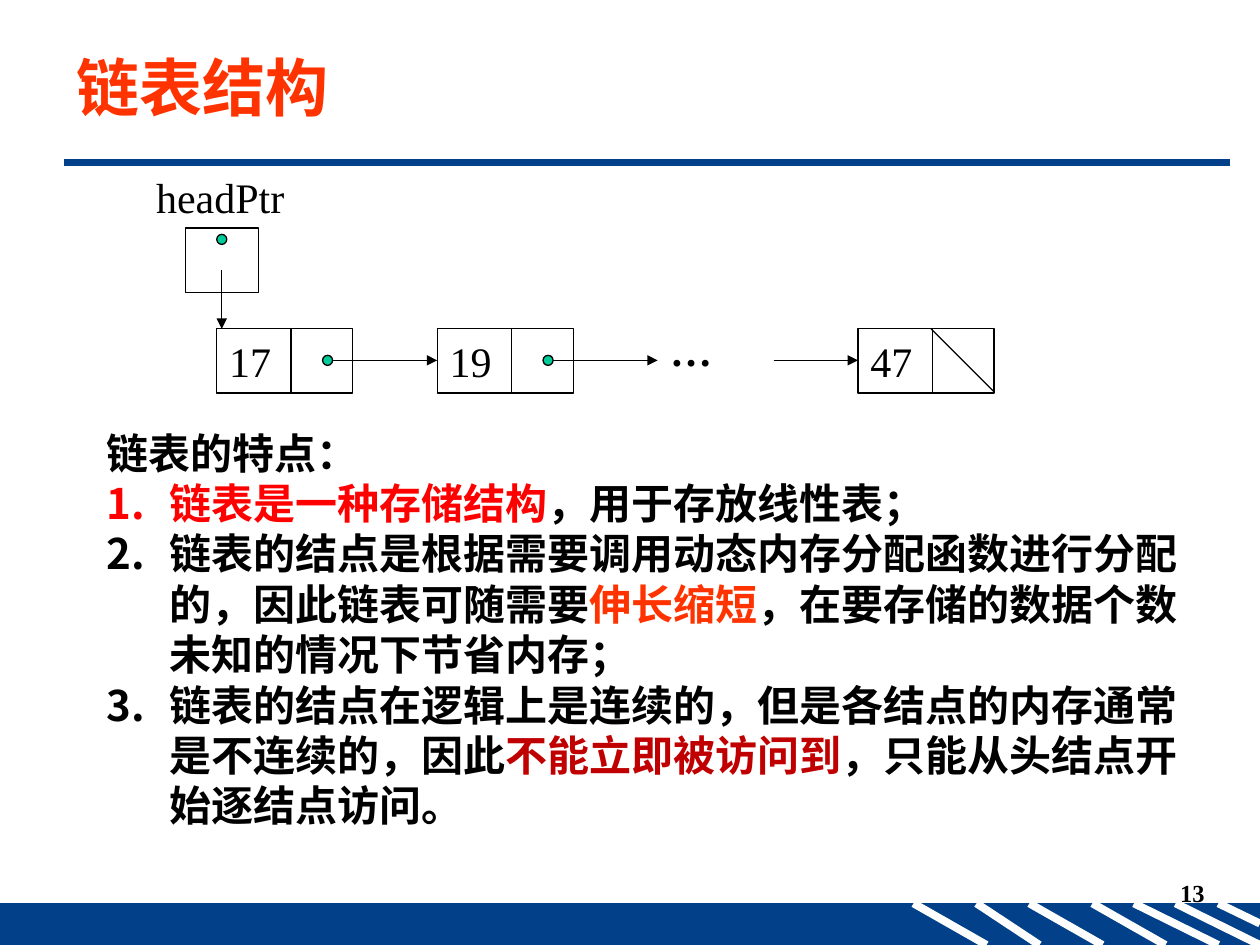
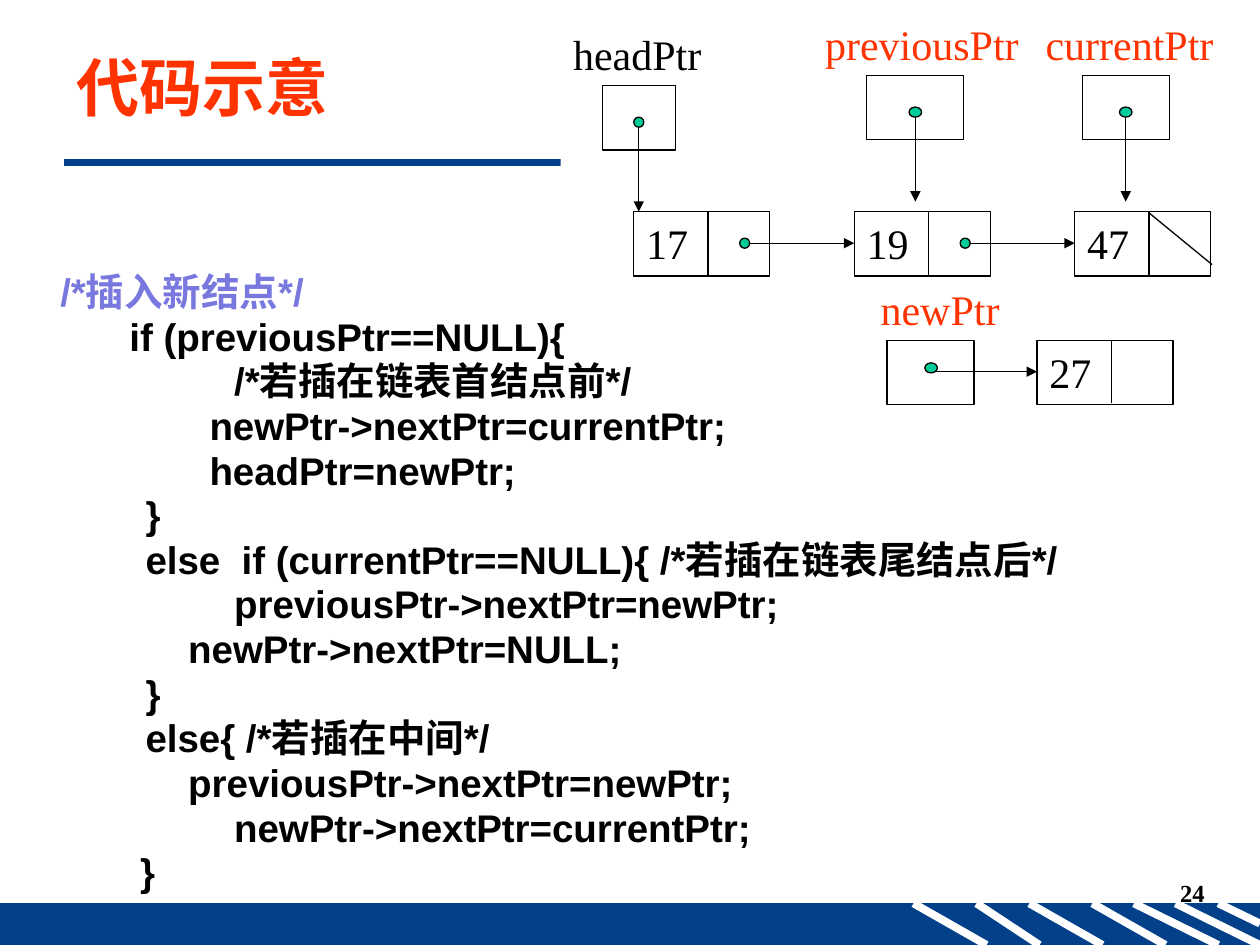
from lxml import etree
from pptx import Presentation
from pptx.dml.color import RGBColor
from pptx.enum.shapes import MSO_CONNECTOR, MSO_SHAPE
from pptx.enum.text import MSO_ANCHOR, PP_ALIGN
from pptx.oxml.ns import qn
from pptx.util import Inches, Pt

LINE = MSO_CONNECTOR.STRAIGHT
RECT, OVAL = MSO_SHAPE.RECTANGLE, MSO_SHAPE.OVAL
TOP, MIDDLE = MSO_ANCHOR.TOP, MSO_ANCHOR.MIDDLE
LEFT, RIGHT = PP_ALIGN.LEFT, PP_ALIGN.RIGHT

COLORS = {
    "blue": "024089", "white": "FFFFFF", "black": "000000", "title": "FF3300",
    "red": "FF0000", "dark": "C00000", "green": "00CC99", "violet": "7878DE",
}
SERIF, SANS, HAN = "Times New Roman", "Arial", "Noto Sans CJK SC"

STRIPES = [
    (7.25, 7.83, 7.5), (7.75, 8.25, 7.5), (8.17, 8.75, 7.5), (8.67, 9.25, 7.5),
    (9, 9.67, 7.5), (9.33, 10, 7.5), (9.67, 10, 7.33),
]
PANEL = [(0, 0), (5.43, 0), (5.43, 3.67), (2.19, 3.67), (2.19, 2.41), (0, 2.41)]
TRAITS = [
    [("链表的特点：", "black")],
    [("链表是一种存储结构", "red"), ("，用于存放线性表；", "black")],
    [("链表的结点是根据需要调用动态内存分配函数进行分配的，因此链表可随需要", "black"),
     ("伸长缩短", "title"), ("，在要存储的数据个数未知的情况下节省内存；", "black")],
    [("链表的结点在逻辑上是连续的，但是各结点的内存通常是不连续的，因此", "black"),
     ("不能立即被访问到", "dark"), ("，只能从头结点开始逐结点访问。", "black")],
]
CODE = [
    "/*插入新结点*/",
    "\t  if (previousPtr==NULL){",
    "\t\t/*若插在链表首结点前*/",
    "              newPtr->nextPtr=currentPtr;",
    "              headPtr=newPtr;",
    "        }",
    "        else  if (currentPtr==NULL){ /*若插在链表尾结点后*/",
    "      \tpreviousPtr->nextPtr=newPtr;",
    "            newPtr->nextPtr=NULL;",
    "        }",
    "        else{ /*若插在中间*/",
    "            previousPtr->nextPtr=newPtr;",
    "      \tnewPtr->nextPtr=currentPtr;",
    "   \t   }",
]


def rgb(name):
    return RGBColor.from_string(COLORS[name])


def line(slide, x1, y1, x2, y2, color="black", width=0.75, arrow=False):
    link = slide.shapes.add_connector(
        LINE, Inches(x1), Inches(y1), Inches(x2), Inches(y2))
    link.line.color.rgb = rgb(color)
    link.line.width = Pt(width)
    if arrow:
        etree.SubElement(link.line._get_or_add_ln(), qn("a:tailEnd"), type="triangle")
    etree.SubElement(link._element.spPr, qn("a:effectLst"))


def shape(slide, kind, x, y, w, h, fill=None, edge="black"):
    item = slide.shapes.add_shape(kind, Inches(x), Inches(y), Inches(w), Inches(h))
    item.shadow.inherit = False
    if fill:
        item.fill.solid()
        item.fill.fore_color.rgb = rgb(fill)
    else:
        item.fill.background()
    item.line.color.rgb = rgb(edge)
    item.line.width = Pt(0.75)
    return item


def panel(slide, x, y):
    spots = [(Inches(x + dx), Inches(y + dy)) for dx, dy in PANEL]
    pen = slide.shapes.build_freeform(*spots[0])
    pen.add_line_segments(spots[1:], close=True)
    item = pen.convert_to_shape()
    item.shadow.inherit = False
    item.fill.solid()
    item.fill.fore_color.rgb = rgb("white")
    item.line.fill.background()


def frame(slide, x, y, w, h):
    box = slide.shapes.add_textbox(Inches(x), Inches(y), Inches(w), Inches(h))
    box.text_frame.word_wrap = True
    return box.text_frame


def add_run(para, text, color):
    run = para.add_run()
    run.text = text
    run.font.color.rgb = rgb(color)
    etree.SubElement(run._r.get_or_add_rPr(), qn("a:ea"), typeface=HAN)


def style(para, size, face, bold=False, align=LEFT):
    para.font.size = Pt(size)
    para.font.name = face
    para.font.bold = bold
    para.alignment = align


def write(body, text, size=24, face=SERIF, color="black", bold=False,
          align=LEFT, anchor=TOP):
    body.vertical_anchor = anchor
    para = body.paragraphs[0]
    add_run(para, text, color)
    style(para, size, face, bold, align)


def paras(body, items):
    for i, item in enumerate(items):
        yield i, body.paragraphs[0] if i == 0 else body.add_paragraph(), item


def hang(para, size):
    props = para._p.get_or_add_pPr()
    props.set("marL", str(Inches(size)))
    props.set("indent", str(-Inches(size)))
    props.set("defTabSz", str(Inches(1)))
    return props


def base(deck, title, number):
    slide = deck.slides.add_slide(deck.slide_layouts[6])
    shape(slide, RECT, 0, 7.17, 10, 0.33, "blue", "blue")
    for x1, x2, y2 in STRIPES:
        line(slide, x1, 7.17, x2, y2, "white", 4.5)
    line(slide, 0.51, 1.29, 9.76, 1.29, "blue", 4.5)
    write(frame(slide, 7.58, 6.92, 2.08, 0.5), number, 14, bold=True, align=RIGHT)
    write(frame(slide, 0.51, 0.29, 9.29, 0.79), title, 36, HAN, "title", True,
          anchor=MIDDLE)
    return slide


def node(slide, x, y, text):
    cell = shape(slide, RECT, x, y, 1.08, 0.51)
    cell.text_frame.word_wrap = True
    write(cell.text_frame, text)
    line(slide, x + 0.59, y, x + 0.59, y + 0.5)


def dot(slide, x, y, w=0.08):
    shape(slide, OVAL, x - w / 2, y - 0.04, w, 0.08, "green")


def link(slide, x, y):
    line(slide, x + 0.92, y + 0.25, x + 1.75, y + 0.25, arrow=True)
    dot(slide, x + 0.88, y + 0.25)


def holder(slide, x, y, w, text, shift, color="title"):
    shape(slide, RECT, x, y, w, 0.51)
    write(frame(slide, x - shift, y - 0.5, 1.75, 0.5), text, color=color)


def pointer(slide, x, y, w, text, shift, color="title", drop=0.29, end=1, size=0.1):
    holder(slide, x, y, w, text, shift, color)
    mid = x + w / 2
    line(slide, mid, y + 0.33, mid, y + end, arrow=True)
    dot(slide, mid, y + drop, size)


def chain(slide, x, y):
    for left, text in ((x, "17"), (x + 1.75, "19"), (x + 5.09, "47")):
        node(slide, left, y, text)
    for left in (x, x + 1.75):
        link(slide, left, y)
    write(frame(slide, x + 3.5, y - 0.08, 0.75, 0.5), "…", bold=True)
    line(slide, x + 4.42, y + 0.25, x + 5.09, y + 0.25, arrow=True)
    line(slide, x + 5.67, y, x + 6.17, y + 0.5)
    pointer(slide, x - 0.25, y - 0.8, 0.58, "headPtr", 0.33, "black", 0.09, 0.8, 0.08)


def insert(slide, x, y):
    panel(slide, x - 0.58, y - 1.66)
    for i, text in enumerate(("17", "19", "47")):
        node(slide, x + i * 1.75, y, text)
        if i < 2:
            link(slide, x + i * 1.75, y)
    line(slide, x + 4.09, y + 0.01, x + 4.59, y + 0.42)
    pointer(slide, x - 0.25, y - 1, 0.58, "headPtr", 0.33, "black", size=0.08)
    pointer(slide, x + 1.85, y - 1.08, 0.77, "previousPtr", 0.43)
    pointer(slide, x + 3.56, y - 1.08, 0.69, "currentPtr", 0.39)
    holder(slide, x + 2.01, y + 1.02, 0.69, "newPtr", 0.15)
    node(slide, x + 3.2, y + 1.02, "27")
    line(slide, x + 2.36, y + 1.27, x + 3.2, y + 1.27, arrow=True)
    dot(slide, x + 2.36, y + 1.24, 0.1)


def traits(slide, x, y, w, h):
    for i, para, parts in paras(frame(slide, x, y, w, h), TRAITS):
        props = hang(para, 0.5)
        if i:
            etree.SubElement(props, qn("a:buFont"), typeface=HAN)
            etree.SubElement(props, qn("a:buAutoNum"), type="arabicPeriod")
        for text, color in parts:
            add_run(para, text, color)
        style(para, 24, HAN, True)


def code(slide, x, y, w, h):
    for i, para, text in paras(frame(slide, x, y, w, h), CODE):
        hang(para, 0.38)
        para.line_spacing = Pt(25.5)
        add_run(para, text, "black" if i else "violet")
        style(para, 22, SANS, True)


def main():
    deck = Presentation()
    deck.slide_width, deck.slide_height = Inches(10), Inches(7.5)
    slide = base(deck, "链表结构", "13")
    traits(slide, 0.75, 3.34, 8.82, 3.7)
    chain(slide, 1.72, 2.61)
    slide = base(deck, "代码示意", "24")
    insert(slide, 5.03, 1.68)
    code(slide, 0.38, 2.09, 8.39, 4.33)
    deck.save("out.pptx")


if __name__ == "__main__":
    main()
